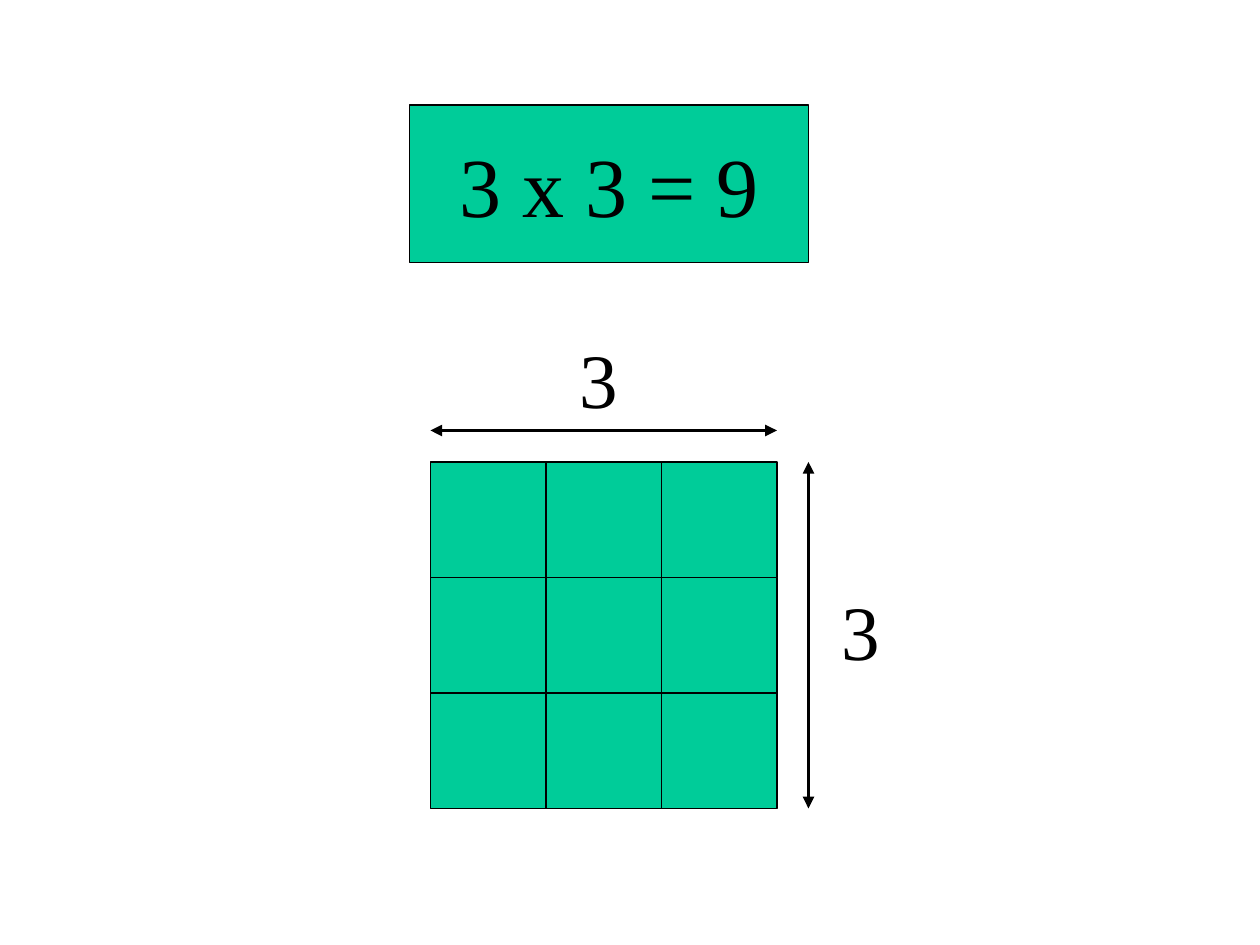
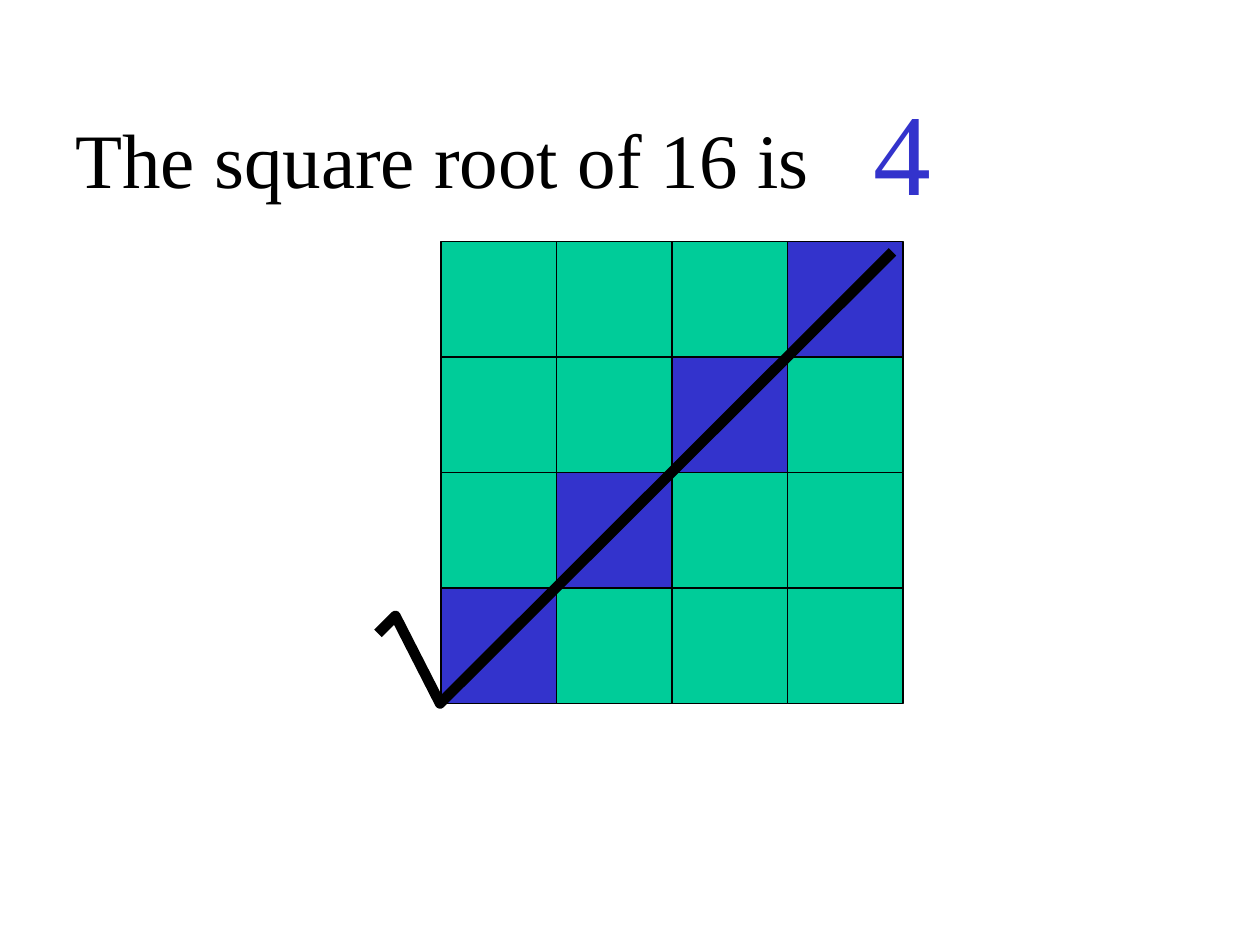
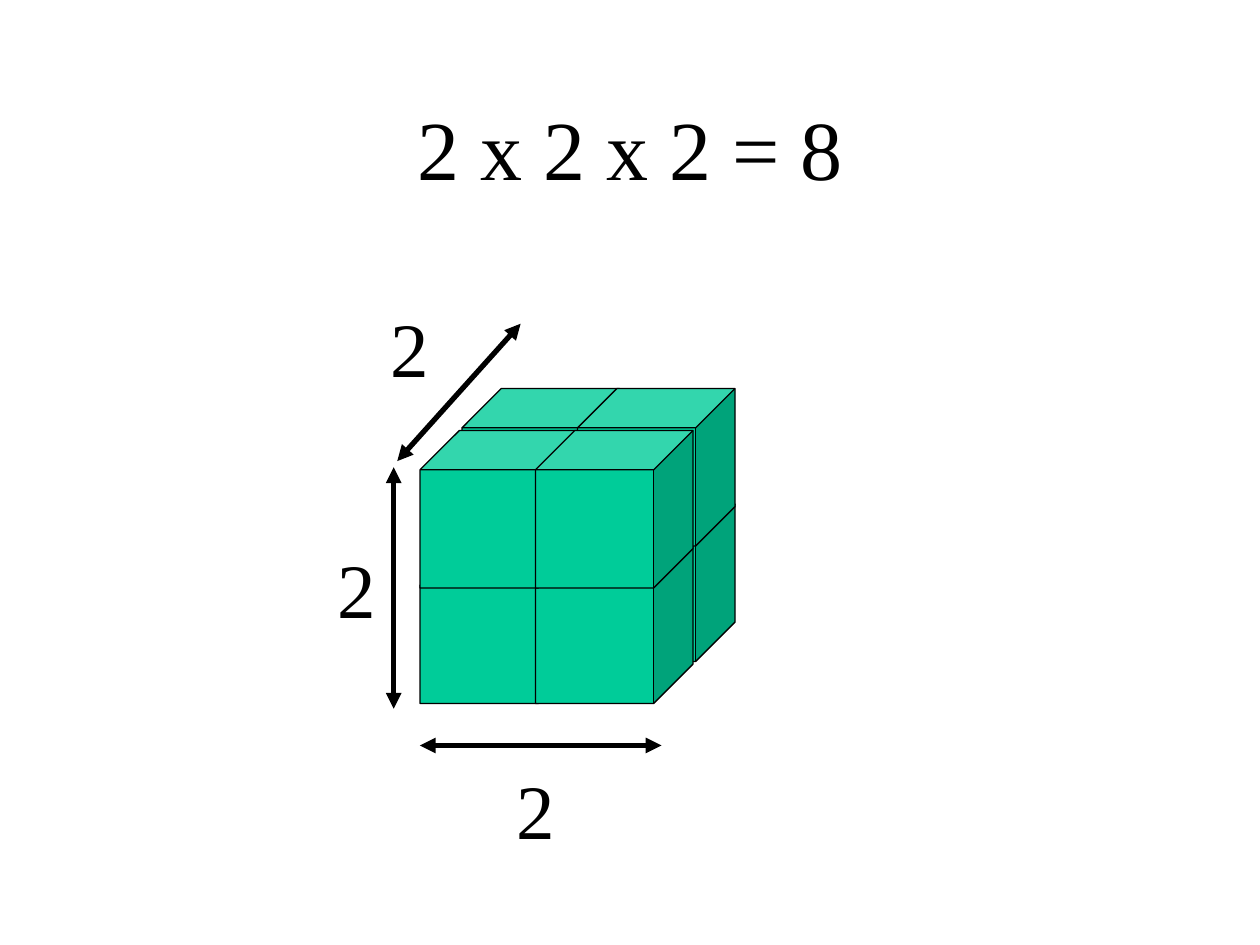
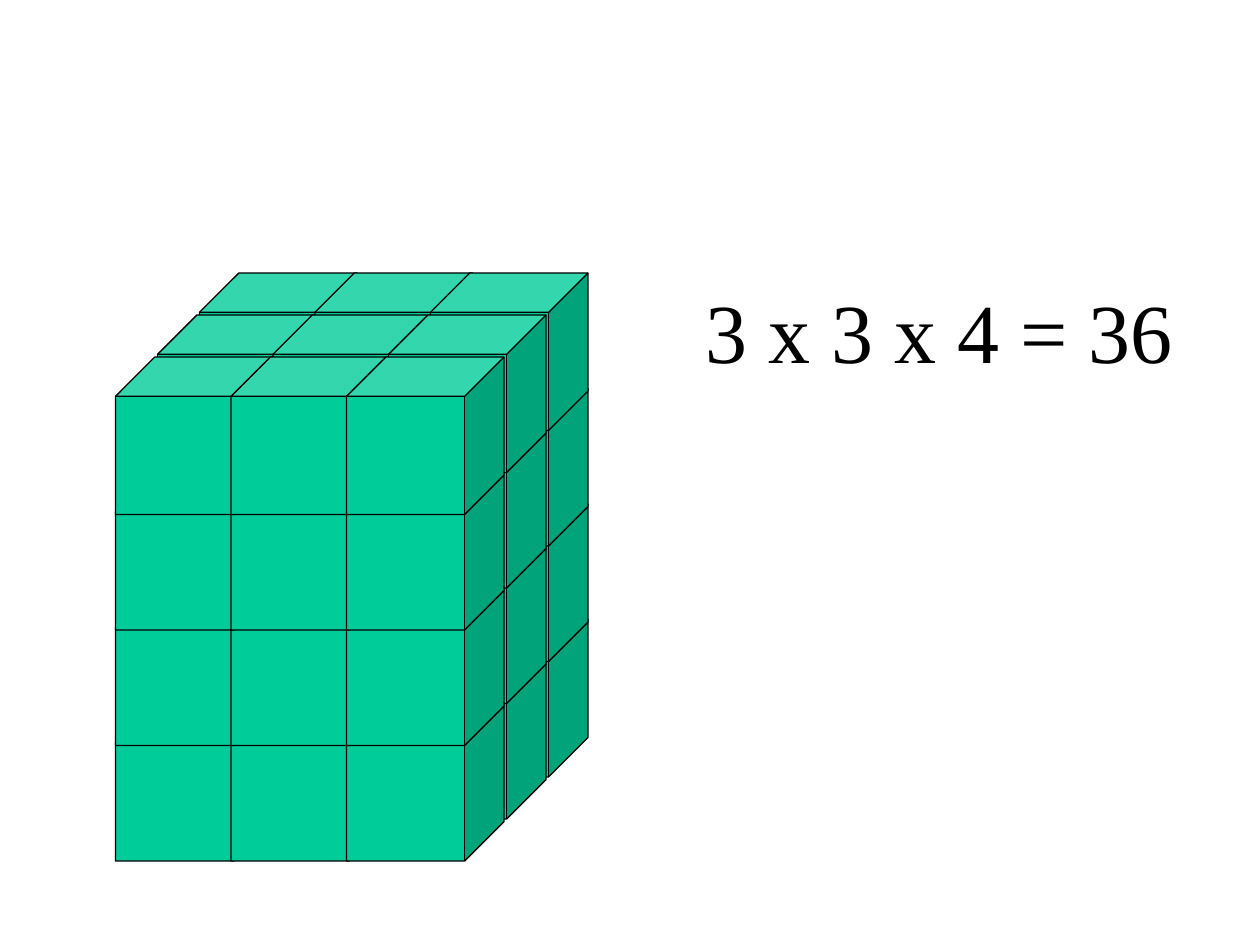
"""Build four slides on squares, square roots and cubes."""
from dataclasses import dataclass
from itertools import product

from lxml.etree import SubElement as Sub
from pptx import Presentation
from pptx.dml.color import RGBColor as Rgb
from pptx.enum.shapes import MSO_CONNECTOR as Link, MSO_SHAPE as Kind
from pptx.enum.text import MSO_ANCHOR as Anchor, MSO_AUTO_SIZE as Fit, PP_ALIGN as Align
from pptx.oxml.ns import qn
from pptx.shapes.base import BaseShape
from pptx.slide import Slide
from pptx.util import Pt

HUES = {"ink": "000000", "tile": "00CC99", "root": "3333CC", "page": "FFFFFF"}
FONT = "Times New Roman"
UNIT = 66
DEPTH = 24
CUBE = 90


@dataclass
class Label:
    text: str
    left: float
    top: float
    width: float
    height: float
    size: float = 44
    hue: str = "ink"
    mid: bool = False
    fill: str = ""


@dataclass
class Arrow:
    x1: float
    y1: float
    x2: float
    y2: float
    weight: float = 3


@dataclass
class Board:
    left: float
    top: float
    count: int
    slash: bool = False


@dataclass
class Stack:
    left: float
    top: float
    cols: int
    rows: int
    layers: int


def tint(name: str) -> Rgb:
    """Return a named colour."""
    return Rgb.from_string(HUES[name])


def paint(shape: BaseShape, fill: str, weight: float = 0.75) -> None:
    """Set fill and outline, without a shadow."""
    shape.shadow.inherit = False
    if fill:
        shape.fill.solid()
        shape.fill.fore_color.rgb = tint(fill)
    else:
        shape.fill.background()
    shape.line.color.rgb = tint("ink")
    shape.line.width = Pt(weight)


def draw_label(slide: Slide, item: Label) -> None:
    """Draw a line of text, in a filled box if it has a fill."""
    place = Pt(item.left), Pt(item.top), Pt(item.width), Pt(item.height)
    if item.fill:
        box = slide.shapes.add_shape(Kind.RECTANGLE, *place)
        paint(box, item.fill)
    else:
        box = slide.shapes.add_textbox(*place)
    frame = box.text_frame
    frame.word_wrap = not item.mid
    frame.auto_size = Fit.NONE if item.mid else Fit.SHAPE_TO_FIT_TEXT
    frame.vertical_anchor = Anchor.MIDDLE if item.mid else Anchor.TOP
    line = frame.paragraphs[0]
    line.text = item.text
    line.alignment = Align.CENTER if item.mid else Align.LEFT
    line.font.name = FONT
    line.font.size = Pt(item.size)
    line.font.color.rgb = tint(item.hue)


def draw_arrow(slide: Slide, item: Arrow) -> None:
    """Draw a line with a head at each end."""
    ends = Pt(item.x1), Pt(item.y1), Pt(item.x2), Pt(item.y2)
    line = slide.shapes.add_connector(Link.STRAIGHT, *ends)
    line.line.color.rgb = tint("ink")
    line.line.width = Pt(item.weight)
    pen = line.line._get_or_add_ln()
    for tag in ("a:headEnd", "a:tailEnd"):
        Sub(pen, qn(tag), type="triangle")
    Sub(line._element.spPr, qn("a:effectLst"))


def draw_board(slide: Slide, item: Board) -> None:
    """Draw a square of tiles, with its rising diagonal marked if asked."""
    group = slide.shapes.add_group_shape()
    for row, col in product(range(item.count), repeat=2):
        left, top = item.left + col * UNIT, item.top + row * UNIT
        tile = group.shapes.add_shape(Kind.RECTANGLE, Pt(left), Pt(top), Pt(UNIT), Pt(UNIT))
        marked = item.slash and row + col == item.count - 1
        paint(tile, "root" if marked else "tile")


def draw_stack(slide: Slide, item: Stack) -> None:
    """Draw cubes from the bottom layer up, each from back to front."""
    for layer in reversed(range(item.layers)):
        group = slide.shapes.add_group_shape()
        for row, col in product(range(item.rows), range(item.cols)):
            left = item.left + col * UNIT - row * DEPTH
            top = item.top + layer * UNIT + row * DEPTH
            cube = group.shapes.add_shape(Kind.CUBE, Pt(left), Pt(top), Pt(CUBE), Pt(CUBE))
            cube.adjustments[0] = 0.25
            paint(cube, "tile")


def draw_root(slide: Slide) -> None:
    """Draw the root sign along the diagonal."""
    start, *rest = [(Pt(x), Pt(y)) for x, y in
                    ((216, 362), (226, 352), (251.5, 402), (510, 144))]
    pen = slide.shapes.build_freeform(*start)
    pen.add_line_segments(rest, close=False)
    paint(pen.convert_to_shape(), "", 6)


def main() -> None:
    """Build and save the slides."""
    deck = Presentation()
    deck.slide_width, deck.slide_height = Pt(720), Pt(540)
    square, root, cube, block = [deck.slides.add_slide(deck.slide_layouts[6]) for _ in range(4)]
    for slide in deck.slides:
        back = slide.background.fill
        back.solid()
        back.fore_color.rgb = tint("page")

    draw_board(square, Board(246, 264, 3))
    draw_label(square, Label("3 x 3 = 9", 234, 60, 228, 90, 48, mid=True, fill="tile"))
    draw_arrow(square, Arrow(246, 246, 444, 246, 2.25))
    draw_arrow(square, Arrow(462, 462, 462, 264, 2.25))
    for left, top in ((324, 186), (474, 330)):
        draw_label(square, Label("3", left, top, 60, 60.5))

    draw_board(root, Board(252, 138, 4, slash=True))
    draw_root(root)
    draw_label(root, Label("The square root of 16 is", 36, 60, 456, 60.5))
    draw_label(root, Label("4", 492, 42, 114, 86.5, 66, "root"))

    draw_stack(cube, Stack(264, 222, 2, 2, 2))
    for ends in ((240, 426, 378, 426), (225, 405, 225, 267), (227, 263.5, 297.5, 185)):
        draw_arrow(cube, Arrow(*ends))
    for left, top in ((186, 306), (216, 168), (288, 432)):
        draw_label(cube, Label("2", left, top, 36, 60.5))
    draw_label(cube, Label("2 x 2 x 2 = 8", 222, 42, 276, 84, 48, mid=True))

    draw_stack(block, Stack(114, 156, 3, 3, 4))
    draw_label(block, Label("3 x 3 x 4 = 36", 396, 156, 288, 65, 48))

    deck.save("out.pptx")


if __name__ == "__main__":
    main()
